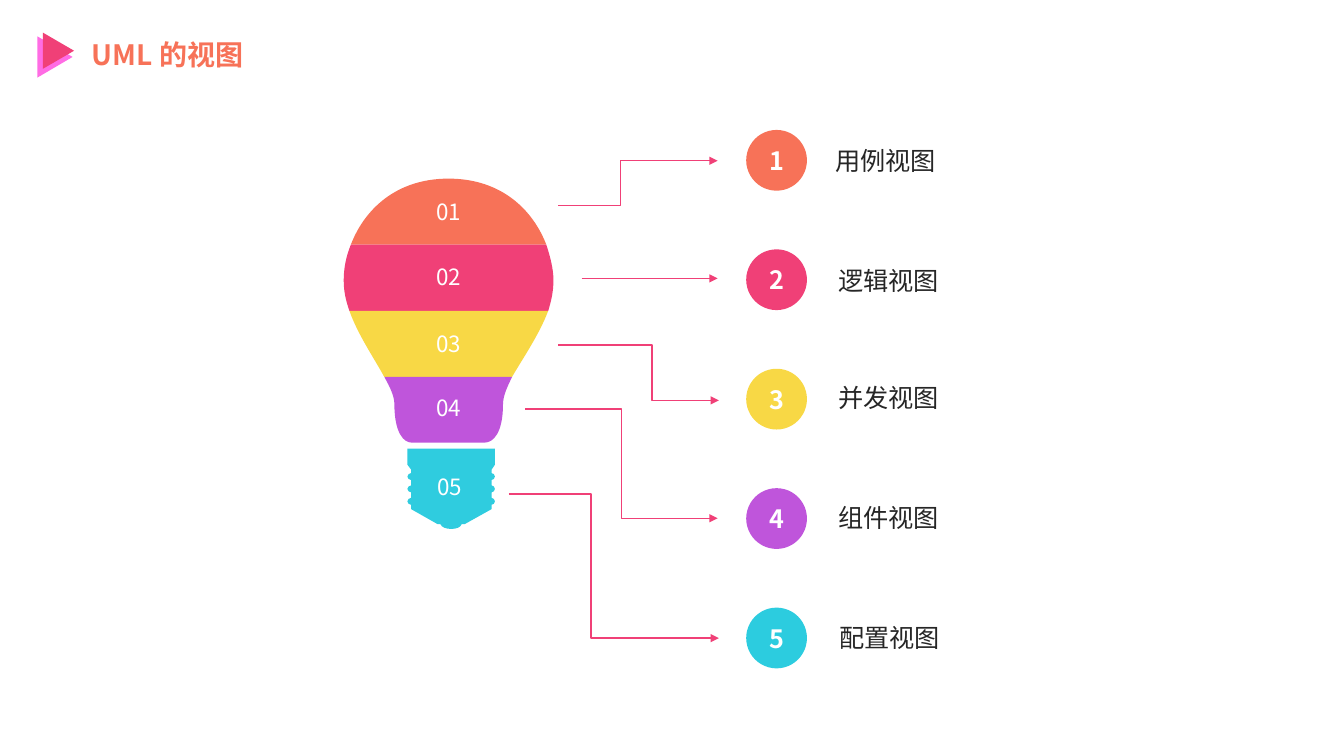
from lxml.etree import SubElement
from pptx import Presentation
from pptx.dml.color import RGBColor
from pptx.enum.shapes import MSO_CONNECTOR, MSO_SHAPE
from pptx.enum.text import MSO_ANCHOR, MSO_AUTO_SIZE, PP_ALIGN
from pptx.oxml.ns import qn
from pptx.util import Pt

FONT = "Noto Sans CJK SC"
ORANGE = RGBColor(0xF7, 0x72, 0x58)
ROSE = RGBColor(0xF0, 0x40, 0x77)
YELLOW = RGBColor(0xF8, 0xD8, 0x45)
PURPLE = RGBColor(0xBF, 0x55, 0xDB)
CYAN = RGBColor(0x2C, 0xCC, 0xDF)
BASE_CYAN = RGBColor(0x2F, 0xCC, 0xDF)
PINK = RGBColor(0xFF, 0x6C, 0xE4)
WHITE = RGBColor(0xFF, 0xFF, 0xFF)
DARK = RGBColor(0x26, 0x26, 0x26)

# Content: label, circle colour, label position
TITLE = "UML 的视图"
VIEWS = [
    ("用例视图", ORANGE, (589.5, 100)),
    ("逻辑视图", ROSE, (591.6, 185.7)),
    ("并发视图", YELLOW, (591.6, 269.7)),
    ("组件视图", PURPLE, (591.6, 355.6)),
    ("配置视图", CYAN, (592.4, 441.2)),
]
# Arrows: start, end, position of the bend (None for a straight arrow)
ARROWS = [
    ((398.9, 146.9), (512.6, 114.9), 0.391),
    ((375.1, 292.3), (512.6, 370.2), 0.5),
    ((398.9, 246.4), (513.5, 286), 0.584),
    ((415.4, 198.9), (512.6, 198.9), None),
    ((363.6, 352.8), (513.5, 455.8), 0.391),
]
TRIANGLES = [((24.5, 28.1, 29.5, 25.2), PINK), ((28.8, 25.1, 25.9, 22.3), ROSE)]

# Bulb outlines: a pair is a straight step, six numbers are a Bézier step
BANDS = [
    ("01", ORANGE, 141.4, [
        (250.6, 174.8), (390.2, 174.8),
        (380.9, 150.5, 358.6, 127.6, 320.4, 127.6),
        (282.2, 127.6, 259.9, 150.5, 250.6, 174.8)]),
    ("02", ROSE, 187.9, [
        (245.5, 200.2), (245.5, 208.1, 247, 214.6, 249.6, 222),
        (391.6, 222), (393.8, 214.6, 395.3, 208.1, 395.3, 200.2),
        (395.3, 192.2, 393.1, 183.6, 390.2, 174.8), (250.6, 174.8),
        (247, 183.6, 245.5, 192.2, 245.5, 200.2)]),
    ("03", YELLOW, 235.7, [
        (274.5, 269.2), (365.8, 269.2),
        (373.7, 255.6, 385.2, 239, 391.6, 222), (249.6, 222),
        (255.6, 239, 267.1, 255.6, 274.5, 269.2)]),
    ("04", PURPLE, 281.5, [
        (359.3, 288.7), (359.3, 283, 362.2, 276.5, 365.8, 269.2),
        (274.5, 269.2), (278.6, 276.5, 281.7, 283, 281.7, 288.7),
        (281.7, 309.6, 288.7, 316.1, 293.8, 316.1), (346.3, 316.1),
        (352.1, 316.1, 359.3, 309.6, 359.3, 288.7)]),
]
THREADS = [340.4, 349.2, 358.1]


def thread_steps(inner, outer, centers, half):
    """Rounded screw threads along one side of the base."""
    middle = (inner + outer) / 2
    steps = []
    for y in centers:
        steps += [(inner, y - half),
                  (middle, y - half, outer, y - half / 2, outer, y),
                  (outer, y + half / 2, middle, y + half, inner, y + half)]
    return steps


BASE = [(353.5, 331.9), (353.5, 320.5), (291, 320.5), (291, 331.9), (293.7, 335.5),
        *thread_steps(293.7, 291, THREADS, 2.5),
        (293.7, 363.7), (312.6, 374.4), (314.6, 374.4),
        (315.4, 376.6, 318.5, 377.8, 322.4, 377.8),
        (326.2, 377.8, 329, 376.6, 329.8, 374.4), (331.9, 374.4), (351.1, 363.7),
        *thread_steps(351.1, 353.5, THREADS[::-1], -2.5),
        (351.1, 335.5)]

presentation = Presentation()
presentation.slide_width, presentation.slide_height = Pt(960), Pt(540)
slide = presentation.slides.add_slide(presentation.slide_layouts[6])
shapes = slide.shapes


def write(frame, text, *, size, color, bold=False, align=PP_ALIGN.LEFT,
          anchor=MSO_ANCHOR.TOP, wrap=True, inset=None, grow=True):
    frame.word_wrap = wrap
    frame.vertical_anchor = anchor
    if grow:
        frame.auto_size = MSO_AUTO_SIZE.SHAPE_TO_FIT_TEXT
    if inset is not None:
        frame.margin_left = frame.margin_right = Pt(inset)
        frame.margin_top = frame.margin_bottom = Pt(inset)
    paragraph = frame.paragraphs[0]
    paragraph.alignment = align
    run = paragraph.add_run()
    run.text = text
    run.font.name, run.font.size, run.font.bold = FONT, Pt(size), bold
    run.font.color.rgb = color
    SubElement(run._r.get_or_add_rPr(), qn("a:ea")).set("typeface", FONT)


def text_box(left, top, width, height, text, **text_format):
    box = shapes.add_textbox(Pt(left), Pt(top), Pt(width), Pt(height))
    write(box.text_frame, text, **text_format)


def paint(shape, color):
    shape.shadow.inherit = False
    shape.fill.solid()
    shape.fill.fore_color.rgb = color
    shape.line.fill.background()
    return shape


def preset(container, kind, box, color):
    return paint(container.add_shape(kind, *map(Pt, box)), color)


def outline(container, steps, color):
    # Hundredths of a point keep the outline exact
    steps = [[round(value * 100) for value in step] for step in steps]
    corners = [step[-2:] for step in steps]
    builder = container.build_freeform(*corners[0], scale=Pt(1) / 100)
    builder.add_line_segments(corners[1:], close=True)
    shape = paint(builder.convert_to_shape(), color)
    left, top = (min(axis) for axis in zip(*corners))
    # Turn the six-number steps into curves
    lines = shape._element.findall(".//" + qn("a:lnTo"))
    for line, step in zip(lines, steps[1:]):
        if len(step) == 6:
            line.clear()
            line.tag = qn("a:cubicBezTo")
            for x, y in zip(step[::2], step[1::2]):
                point = SubElement(line, qn("a:pt"))
                point.set("x", str(x - left))
                point.set("y", str(y - top))


def arrow(start, end, bend):
    kind = MSO_CONNECTOR.STRAIGHT if bend is None else MSO_CONNECTOR.ELBOW
    connector = shapes.add_connector(kind, *map(Pt, start + end))
    connector.line.color.rgb = ROSE
    connector.line.width = Pt(1)
    properties = connector._element.spPr
    SubElement(connector.line._get_or_add_ln(), qn("a:tailEnd")).set("type", "triangle")
    SubElement(properties, qn("a:effectLst"))
    if bend is not None:
        geometry = properties.find(qn("a:prstGeom"))
        adjustments = geometry.find(qn("a:avLst"))
        if adjustments is None:
            adjustments = SubElement(geometry, qn("a:avLst"))
        guide = SubElement(adjustments, qn("a:gd"))
        guide.set("name", "adj1")
        guide.set("fmla", f"val {round(bend * 100000)}")


# Title
text_box(58.3, 23.5, 159.8, 31.7, TITLE, size=20, color=ORANGE, bold=True)
title_mark = shapes.add_group_shape().shapes
for box, color in TRIANGLES:
    preset(title_mark, MSO_SHAPE.ISOSCELES_TRIANGLE, box, color).rotation = 90

# Bulb
outline(shapes, BASE, BASE_CYAN)
for number, color, number_top, steps in BANDS:
    band = shapes.add_group_shape().shapes
    outline(band, steps, color)
    plate = preset(band, MSO_SHAPE.RECTANGLE, (311, number_top, 18.7, 19.4), color)
    write(plate.text_frame, number, size=16, color=WHITE,
          align=PP_ALIGN.CENTER, wrap=False, inset=0)
text_box(305.1, 334.5, 33.1, 26.6, "05", size=16, color=WHITE, wrap=False)

# Arrows
for start, end, bend in ARROWS:
    arrow(start, end, bend)

# Circles and labels
for index, (label, color, label_at) in enumerate(VIEWS):
    circle = preset(shapes, MSO_SHAPE.OVAL, (533, 92.8 + 85.3 * index, 43.4, 43.4), color)
    write(circle.text_frame, str(index + 1), size=18, color=WHITE, bold=True,
          align=PP_ALIGN.CENTER, anchor=MSO_ANCHOR.MIDDLE, grow=False)
    text_box(*label_at, 281.5, 28.8, label, size=18, color=DARK)

presentation.save("out.pptx")
